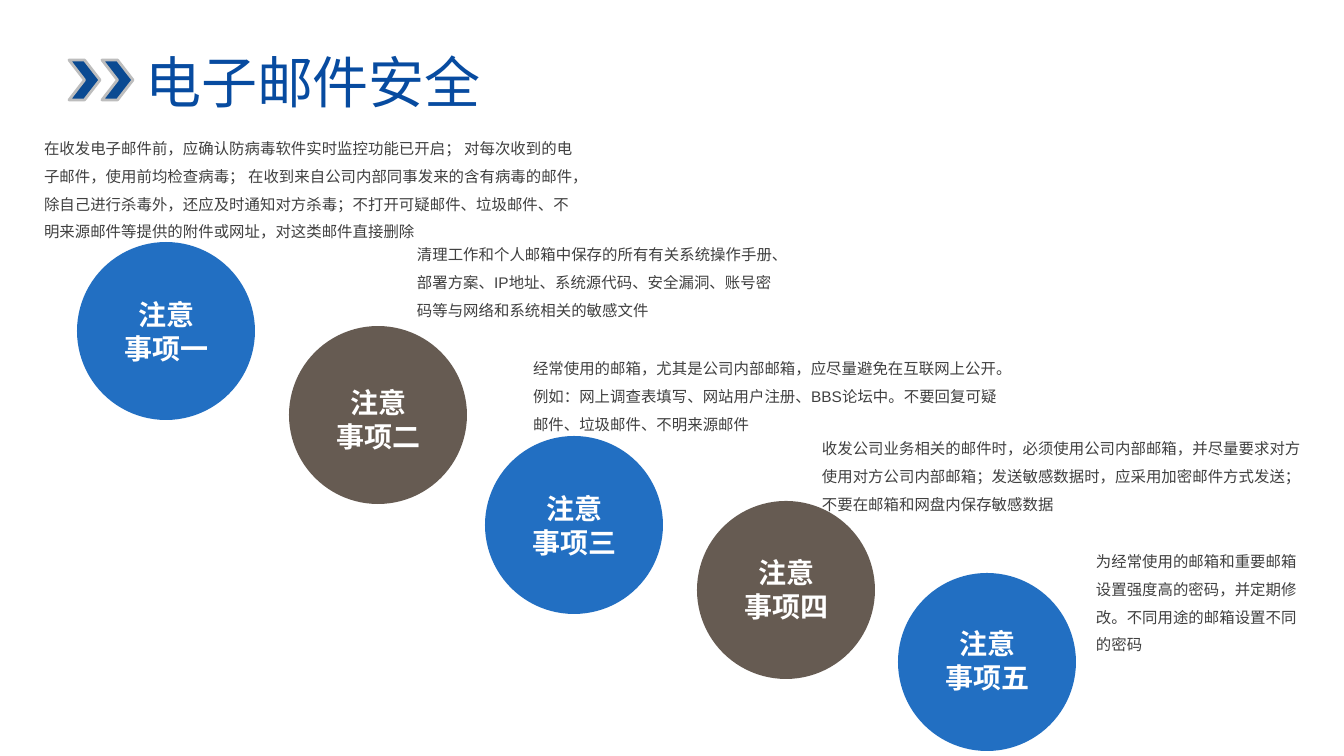
from pptx import Presentation
from pptx.dml.color import RGBColor
from pptx.enum.shapes import MSO_SHAPE
from pptx.enum.text import MSO_ANCHOR, PP_ALIGN
from pptx.util import Pt

PX = 914400 / 100.8
BLUE, BROWN = "226FC2", "665B52"
CIRCLE = 178
TITLE = {"size": Pt(40), "name": "Arial"}
LABEL = {"size": Pt(20), "name": "Arial", "bold": True}
NOTE = {"size": Pt(11), "name": "Arial"}
CENTERED = {"alignment": PP_ALIGN.CENTER}
SPACED = {"line_spacing": 1.5}

# number, circle left and top, label top, note box, note text
ITEMS = [
    ("一", 77, 242, 293, (44, 130, 540, 112),
     "在收发电子邮件前，应确认防病毒软件实时监控功能已开启； 对每次收到的电子邮件，"
     "使用前均检查病毒； 在收到来自公司内部同事发来的含有病毒的邮件，除自己进行杀毒外，"
     "还应及时通知对方杀毒；不打开可疑邮件、垃圾邮件、不明来源邮件等提供的附件或网址，"
     "对这类邮件直接删除"),
    ("二", 289, 326, 381, (417, 236, 369, 84),
     "清理工作和个人邮箱中保存的所有有关系统操作手册、部署方案、IP地址、系统源代码、"
     "安全漏洞、账号密码等与网络和系统相关的敏感文件"),
    ("三", 485, 436, 487, (533, 350, 465, 84),
     "经常使用的邮箱，尤其是公司内部邮箱，应尽量避免在互联网上公开。例如：网上调查表填写、"
     "网站用户注册、BBS论坛中。不要回复可疑邮件、垃圾邮件、不明来源邮件"),
    ("四", 697, 501, 551, (822, 430, 481, 84),
     "收发公司业务相关的邮件时，必须使用公司内部邮箱，并尽量要求对方使用对方公司内部邮箱；"
     "发送敏感数据时，应采用加密邮件方式发送；不要在邮箱和网盘内保存敏感数据"),
    ("五", 898, 573, 622, (1096, 543, 205, 112),
     "为经常使用的邮箱和重要邮箱设置强度高的密码，并定期修改。不同用途的邮箱设置不同的密码"),
]


def px(*lengths):
    """Turn pixel lengths into EMU."""
    return [round(n * PX) for n in lengths]


def rgb(value):
    """Make a colour from a hex string."""
    return RGBColor.from_string(value)


def apply(target, values):
    """Set every attribute in values on target."""
    for name, value in values.items():
        setattr(target, name, value)


def add_shape(s, kind, box, fill, line=None):
    """Add a filled preset shape with an optional outline."""
    sp = s.shapes.add_shape(kind, *px(*box))
    sp.shadow.inherit = False
    sp.fill.solid()
    sp.fill.fore_color.rgb = rgb(fill)
    if line:
        sp.line.color.rgb = rgb(line)
        sp.line.width = Pt(2)
    else:
        sp.line.fill.background()


def add_text(s, box, lines, font, color, para, frame=None):
    """Add a wrapping text box with one paragraph per line."""
    tf = s.shapes.add_textbox(*px(*box)).text_frame
    apply(tf, {"word_wrap": True, **(frame or {})})
    for i, line in enumerate(lines):
        p = tf.paragraphs[0] if i == 0 else tf.add_paragraph()
        apply(p, para)
        r = p.add_run()
        r.text = line
        apply(r.font, font)
        r.font.color.rgb = rgb(color)


def add_title(s):
    """Add the heading and its two chevrons."""
    add_text(s, (40, 61, 546, 40), ["电子邮件安全"], TITLE, "074BA0", CENTERED,
             {"vertical_anchor": MSO_ANCHOR.MIDDLE})
    for x in (69, 102):
        add_shape(s, MSO_SHAPE.CHEVRON, (x, 60, 31, 40), "0A4A92", "BDBDBD")


def add_item(s, number, x, y, label_y, note_box, note, fill):
    """Add one numbered circle with its label and note."""
    add_shape(s, MSO_SHAPE.OVAL, (x, y, CIRCLE, CIRCLE), fill)
    add_text(s, (x + 36, label_y, 107, 78), ["注意", "事项" + number],
             LABEL, "FFFFFF", CENTERED)
    sides = ("left", "top", "right", "bottom")
    add_text(s, note_box, [note], NOTE, "404040", SPACED,
             {"margin_" + side: 0 for side in sides})


def main():
    """Build and save the slide."""
    prs = Presentation()
    prs.slide_width, prs.slide_height = px(1344, 756)
    s = prs.slides.add_slide(prs.slide_layouts[6])
    add_title(s)
    for i, item in enumerate(ITEMS):
        add_item(s, *item, fill=(BLUE, BROWN)[i % 2])
    prs.save("out.pptx")


main()
